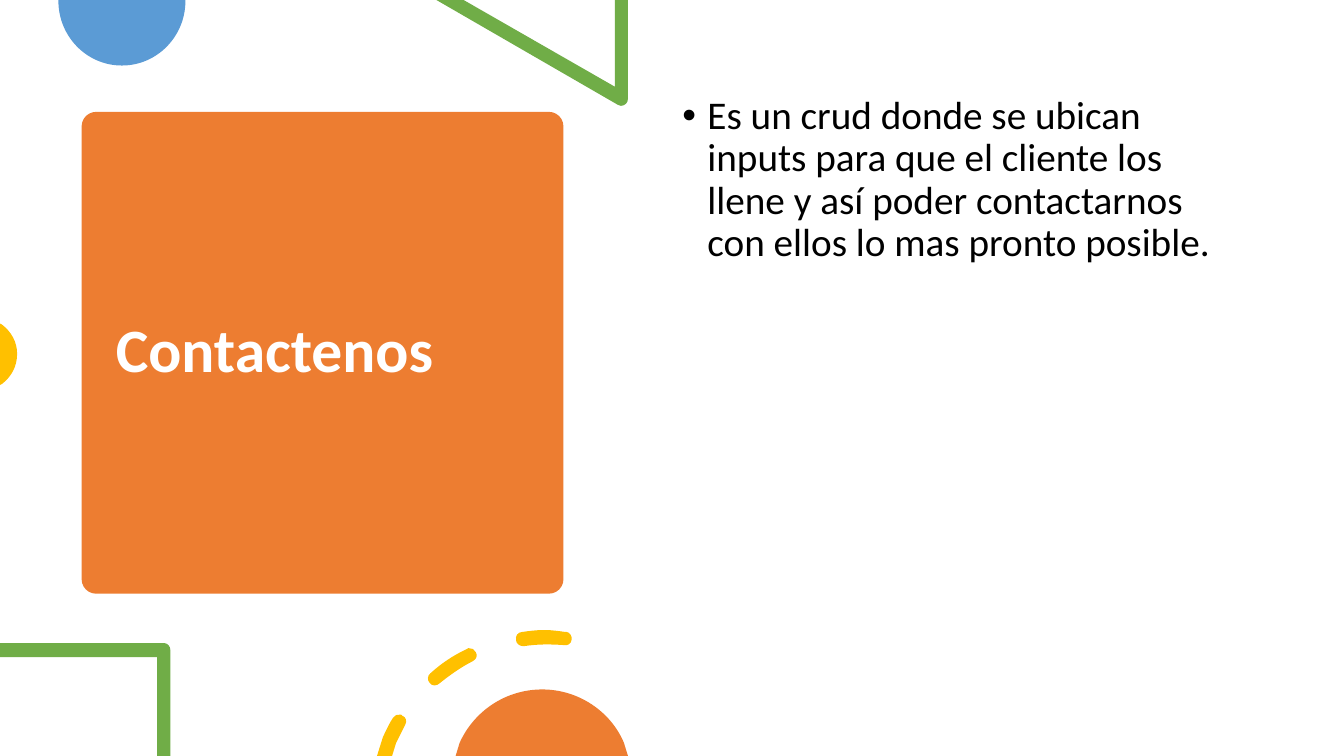
from dataclasses import dataclass

from lxml.etree import Element, SubElement
from pptx import Presentation
from pptx.dml.color import RGBColor
from pptx.enum.shapes import MSO_SHAPE
from pptx.enum.text import MSO_ANCHOR
from pptx.oxml.ns import qn
from pptx.shapes.autoshape import Shape
from pptx.slide import Slide
from pptx.util import Inches, Pt

Step = tuple[float, ...]
Contour = list[Step]


@dataclass(frozen=True)
class Theme:
    font: str = "Calibri"
    title_size: int = 44
    body_size: int = 28
    white: str = "FFFFFF"
    black: str = "000000"
    orange: str = "ED7D31"
    blue: str = "5B9BD5"
    green: str = "70AD47"
    yellow: str = "FFC000"


@dataclass(frozen=True)
class Ornament:
    """Contours start with a point; then 2 numbers are a line, 6 a Bézier curve."""
    color: str
    contours: list[Contour]


THEME = Theme()

BLUE_CIRCLE = Ornament(THEME.blue, [
    [(1.84, 0), (0.58, 0), (0.58, 0.01), (0.58, 0.36, 0.86, 0.65, 1.21, 0.65),
     (1.56, 0.65, 1.84, 0.36, 1.84, 0.01)],
])
GREEN_TRIANGLE = Ornament(THEME.green, [
    [(6.23, 0), (6.1, 0), (6.1, 0.86), (4.6, 0), (4.33, 0), (6.13, 1.04),
     (6.14, 1.05, 6.15, 1.05, 6.16, 1.05), (6.2, 1.05, 6.23, 1.02, 6.23, 0.98)],
])
YELLOW_CIRCLE = Ornament(THEME.yellow, [
    [(0, 3.21), (0, 3.82), (0.02, 3.81), (0.11, 3.74, 0.17, 3.64, 0.17, 3.51),
     (0.17, 3.39, 0.11, 3.29, 0.02, 3.22)],
])
GREEN_SQUARE = Ornament(THEME.green, [
    [(1.63, 6.38), (0, 6.38), (0, 6.52), (1.56, 6.52), (1.56, 7.5), (1.69, 7.5),
     (1.69, 6.45), (1.69, 6.41, 1.66, 6.38, 1.63, 6.38)],
])
YELLOW_DASHES = Ornament(THEME.yellow, [
    [(3.97, 7.09), (3.94, 7.08, 3.92, 7.1, 3.9, 7.12),
     (3.86, 7.18, 3.83, 7.25, 3.8, 7.31), (3.74, 7.5), (3.89, 7.5), (3.93, 7.37),
     (3.96, 7.31, 3.99, 7.25, 4.02, 7.19), (4.04, 7.16, 4.03, 7.11, 3.99, 7.1),
     (3.99, 7.09, 3.98, 7.09, 3.97, 7.09)],
    [(4.65, 6.43), (4.65, 6.43, 4.64, 6.43, 4.63, 6.44),
     (4.5, 6.5, 4.38, 6.58, 4.27, 6.68), (4.24, 6.7, 4.24, 6.75, 4.26, 6.77),
     (4.27, 6.79, 4.29, 6.8, 4.31, 6.8), (4.33, 6.8, 4.35, 6.79, 4.36, 6.78),
     (4.46, 6.7, 4.57, 6.62, 4.69, 6.56), (4.73, 6.54, 4.74, 6.5, 4.72, 6.47),
     (4.71, 6.44, 4.68, 6.43, 4.65, 6.43)],
    [(5.4, 6.25), (5.32, 6.25, 5.25, 6.26, 5.18, 6.27),
     (5.14, 6.27, 5.11, 6.31, 5.12, 6.35), (5.12, 6.38, 5.15, 6.41, 5.19, 6.41),
     (5.19, 6.41, 5.19, 6.41, 5.2, 6.41), (5.33, 6.39, 5.46, 6.39, 5.6, 6.4),
     (5.63, 6.41, 5.67, 6.38, 5.67, 6.35), (5.68, 6.31, 5.65, 6.27, 5.62, 6.27),
     (5.62, 6.27, 5.61, 6.27, 5.61, 6.27), (5.54, 6.26, 5.47, 6.25, 5.4, 6.25)],
])
ORANGE_CIRCLE = Ornament(THEME.orange, [
    [(5.38, 6.84), (5.01, 6.84, 4.7, 7.06, 4.56, 7.37), (4.52, 7.5), (6.23, 7.5),
     (6.19, 7.37), (6.06, 7.06, 5.74, 6.84, 5.38, 6.84)],
])


def paint(sp: Shape, color: str) -> None:
    sp.shadow.inherit = False
    sp.fill.solid()
    sp.fill.fore_color.rgb = RGBColor.from_string(color)
    sp.line.fill.background()


def bend_segments(sp: Shape, steps: list[Step]) -> None:
    """Give the straight segments of a freeform the control points of their curves."""
    segments = list(sp._element.iter(qn("a:lnTo")))
    for segment, step in zip(segments, steps):
        if len(step) == 2:
            continue
        curve = Element(qn("a:cubicBezTo"))
        for x, y in (step[:2], step[2:4], step[4:]):
            SubElement(curve, qn("a:pt"), x=str(Inches(x) - sp.left),
                       y=str(Inches(y) - sp.top))
        segment.getparent().replace(segment, curve)


def add_ornament(s: Slide, ornament: Ornament) -> None:
    outlines = [[(Inches(step[-2]), Inches(step[-1])) for step in contour]
                for contour in ornament.contours]
    builder = s.shapes.build_freeform(*outlines[0][0])
    for i, (start, *ends) in enumerate(outlines):
        if i:
            builder.move_to(*start)
        builder.add_line_segments(ends)
    sp = builder.convert_to_shape()
    bend_segments(sp, [step for contour in ornament.contours for step in contour[1:]])
    paint(sp, ornament.color)


def add_text(s: Slide, text: str, left: float, top: float, width: float, height: float,
             *, size: int, color: str, bold: bool = False, bullet: bool = False,
             space_before: int = 0, anchor: MSO_ANCHOR = MSO_ANCHOR.TOP) -> None:
    box = s.shapes.add_textbox(Inches(left), Inches(top), Inches(width), Inches(height))
    tf = box.text_frame
    tf.word_wrap = True
    tf.vertical_anchor = anchor
    p = tf.paragraphs[0]
    p.line_spacing = 0.9
    p.space_before = Pt(space_before)
    if bullet:
        p_pr = p._p.get_or_add_pPr()
        p_pr.set("marL", str(Inches(0.25)))
        p_pr.set("indent", str(Inches(-0.25)))
        SubElement(p_pr, qn("a:buFont")).set("typeface", "Arial")
        SubElement(p_pr, qn("a:buChar")).set("char", "•")
    r = p.add_run()
    r.text = text
    r.font.name = THEME.font
    r.font.size = Pt(size)
    r.font.bold = bold
    r.font.color.rgb = RGBColor.from_string(color)


def main() -> None:
    prs = Presentation()
    prs.slide_width, prs.slide_height = Inches(40 / 3), Inches(7.5)
    s = prs.slides.add_slide(prs.slide_layouts[6])

    panel = s.shapes.add_shape(MSO_SHAPE.ROUNDED_RECTANGLE, Inches(0.81), Inches(1.11),
                               Inches(4.78), Inches(4.78))
    panel.adjustments[0] = 0.03
    paint(panel, THEME.orange)

    add_text(s, "Contactenos", 1.05, 1.22, 4.31, 4.56, size=THEME.title_size,
             color=THEME.white, bold=True, anchor=MSO_ANCHOR.MIDDLE)
    for ornament in (BLUE_CIRCLE, GREEN_TRIANGLE, YELLOW_CIRCLE):
        add_ornament(s, ornament)
    add_text(s, "Es un crud donde se ubican inputs para que el cliente los llene y así "
             "poder contactarnos con ellos lo mas pronto posible.",
             6.67, 0.9, 5.75, 5.35, size=THEME.body_size, color=THEME.black,
             bullet=True, space_before=10)
    for ornament in (GREEN_SQUARE, YELLOW_DASHES, ORANGE_CIRCLE):
        add_ornament(s, ornament)
    prs.save("out.pptx")


if __name__ == "__main__":
    main()
